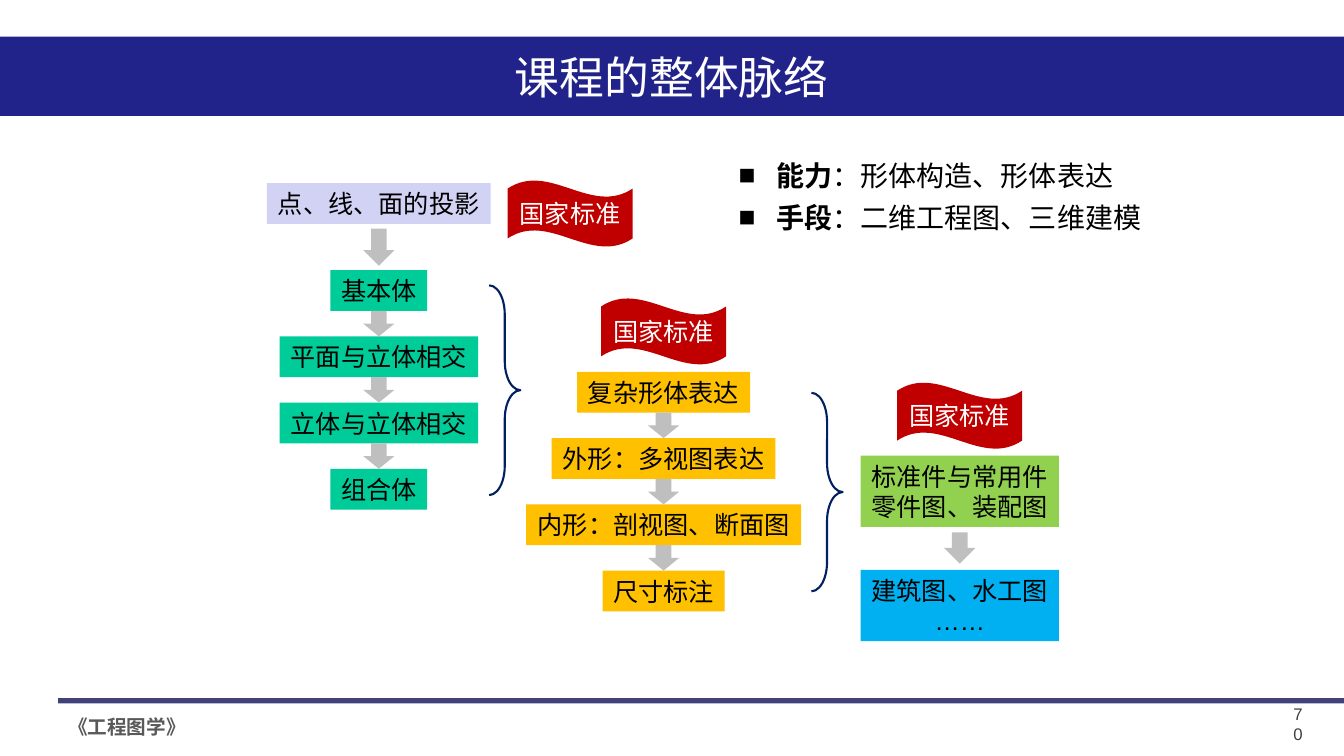
from lxml import etree
from pptx import Presentation
from pptx import util as u
from pptx.dml import color
from pptx.enum import shapes, text
from pptx.oxml import ns

THEME = {
    "navy": "22228B", "rule": "17175C", "brace": "002060", "arrow": "BFBFBF",
    "lilac": "D2D2F4", "green": "00CC99", "amber": "FFC000", "lime": "92D050",
    "sky": "00B0F0", "red": "C00000", "black": "000000", "white": "FFFFFF",
    "footer": "595959", "number": "404040",
    "sans": "Arial", "cjk": "Noto Sans CJK SC",
    "title": 32, "point": 20, "block": 18, "course": 14, "page": 12,
}
Pt = u.Pt
KIND = shapes.MSO_SHAPE
CENTER = text.PP_ALIGN.CENTER
MIDDLE = text.MSO_ANCHOR.MIDDLE

deck = Presentation()
deck.slide_width, deck.slide_height = Pt(960), Pt(540)
slide = deck.slides.add_slide(deck.slide_layouts[6])


def draw(kind, left, top, width, height, fill=None):
    box = tuple(Pt(round(v, 2)) for v in (left, top, width, height))
    if kind is None:
        return slide.shapes.add_textbox(*box)
    shape = slide.shapes.add_shape(kind, *box)
    shape.shadow.inherit = False
    shape.line.fill.background()
    if fill:
        shape.fill.solid()
        shape.fill.fore_color.rgb = color.RGBColor.from_string(THEME[fill])
    else:
        shape.fill.background()
    return shape


def write(shape, lines, size, ink, face="sans", align=CENTER, anchor=MIDDLE, wrap=False):
    frame = shape.text_frame
    for key, value in {"word_wrap": wrap, "vertical_anchor": anchor}.items():
        setattr(frame, key, value)
    for index, parts in enumerate(lines):
        paragraph = frame.paragraphs[0] if index == 0 else frame.add_paragraph()
        paragraph.alignment = align
        for words, bold in parts:
            run = paragraph.add_run()
            run.text = words
            look = {"name": THEME[face], "size": Pt(THEME[size]), "bold": bold}
            for key, value in look.items():
                setattr(run.font, key, value)
            run.font.color.rgb = color.RGBColor.from_string(THEME[ink])
            latin = run.font._element.find(ns.qn("a:latin"))
            east = etree.Element(ns.qn("a:ea"), typeface=THEME[face])
            latin.addnext(east)
    return frame


draw(KIND.RECTANGLE, 0, 26.2, 960, 56.6, "navy")
footer_rule = draw(KIND.RECTANGLE, 41.5, 498.7, 918.5, 3.7, "rule")
rule_color = footer_rule._element.spPr.find(".//" + ns.qn("a:srgbClr"))
etree.SubElement(rule_color, ns.qn("a:alpha"), val="81000")

course = draw(None, 41.5, 507, 99.4, 24.2)
write(course, [[("《工程图学》", True)]], "course", "footer",
      align=text.PP_ALIGN.LEFT, anchor=text.MSO_ANCHOR.TOP)
page = draw(None, 916.6, 506.2, 20.9, 21.6)
write(page, [[("70", False)]], "page", "number", align=text.PP_ALIGN.RIGHT, wrap=True)

CHAR, INSET = 18.2, 14.4
BLOCK_H, PITCH = 29.1, 47.3
ARROW_W, GAP = 22.3, 18.2
BASICS_X, VIEWS_X, PARTS_X = 270.6, 474, 685.6

stages = [
    (BASICS_X, 130.8, BLOCK_H, "lilac", ["点、线、面的投影"]),
    (PARTS_X, 325.4, 51, "lime", ["标准件与常用件", "零件图、装配图"]),
    (PARTS_X, 407, 51, "sky", ["建筑图、水工图", "……"]),
]
arrows = [(BASICS_X, 163.4, 26.4), (PARTS_X, 380.2, 22.4)]
chains = [
    (BASICS_X, 193, "green", ["基本体", "平面与立体相交", "立体与立体相交", "组合体"]),
    (VIEWS_X, 265.7, "amber", ["复杂形体表达", "外形：多视图表达", "内形：剖视图、断面图", "尺寸标注"]),
]
for center, first, fill, topics in chains:
    for step, topic in enumerate(topics):
        top = first + step * PITCH
        stages.append((center, top, BLOCK_H, fill, [topic]))
        if step:
            arrows.append((center, top - GAP, GAP))

for center, top, height, fill, lines in stages:
    width = len(lines[0]) * CHAR + INSET
    stage = draw(KIND.RECTANGLE, center - width / 2, top, width, height, fill)
    write(stage, [[(line, False)] for line in lines], "block", "black")

for center, top, height in arrows:
    draw(KIND.DOWN_ARROW, center - ARROW_W / 2, top, ARROW_W, height, "arrow")

for left, top, height in [(349.4, 203.8, 149.8), (579.6, 280.6, 141.8)]:
    brace = draw(KIND.RIGHT_BRACE, left, top, ARROW_W, height)
    brace.adjustments[0] = 0.93
    brace.line.color.rgb = color.RGBColor.from_string(THEME["brace"])
    brace.line.width = Pt(1.5)

for left, top in [(362.6, 128.8), (429.4, 213), (640.8, 273.2)]:
    standard = draw(KIND.WAVE, left, top, 89.3, 47.5, "red")
    write(standard, [[("国家标准", False)]], "block", "white", wrap=True)

points = draw(None, 520.6, 109.5, 304.6, 69)
goals = write(points, [
    [("能力", True), ("：形体构造、形体表达", False)],
    [("手段", True), ("：二维工程图、三维建模", False)],
], "point", "black", "cjk", text.PP_ALIGN.LEFT, text.MSO_ANCHOR.TOP)
for goal in goals.paragraphs:
    goal.space_after = Pt(6)
    layout = goal._p.get_or_add_pPr()
    layout.set("marL", str(Pt(27)))
    layout.set("indent", str(-Pt(27)))
    etree.SubElement(layout, ns.qn("a:buFont"), typeface=THEME["sans"])
    etree.SubElement(layout, ns.qn("a:buChar"), char="■")

title = draw(None, 359.4, 31.5, 240.8, 46)
write(title, [[("课程的整体脉络", False)]], "title", "white", "cjk")

deck.save("out.pptx")
